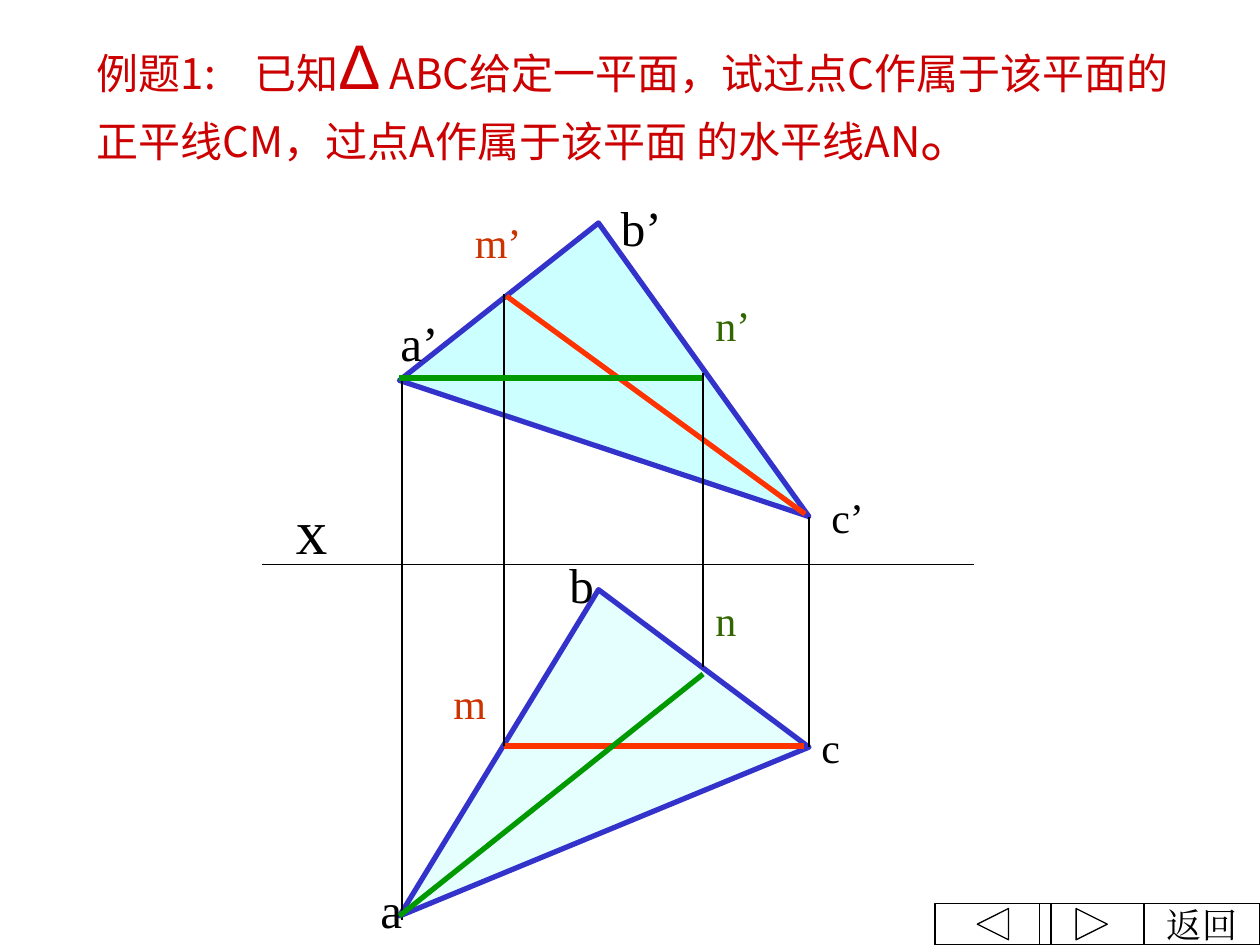
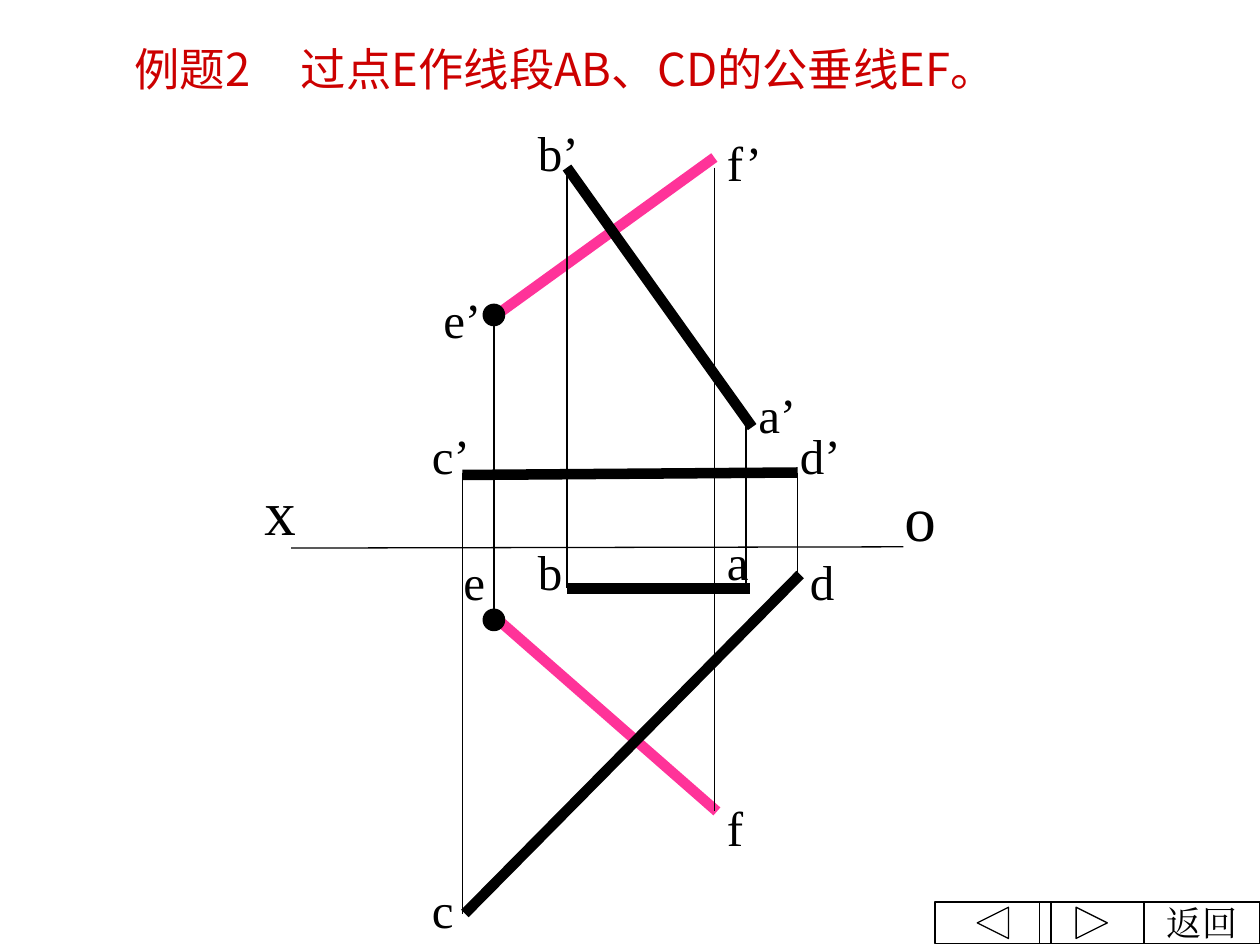
"""Build two descriptive-geometry example slides with projection drawings."""
from dataclasses import dataclass

import lxml.etree
import pptx
import pptx.dml.color
import pptx.enum.shapes
import pptx.enum.text
import pptx.oxml.ns
import pptx.util
from pptx.util import Inches

SHAPES = pptx.enum.shapes.MSO_SHAPE
ANCHOR = pptx.enum.text.MSO_ANCHOR
ALIGN = pptx.enum.text.PP_ALIGN


@dataclass(frozen=True)
class Theme:
    title_font: str = "Noto Sans CJK JP"
    symbol_font: str = "Arial"
    label_font: str = "Times New Roman"
    title_color: str = "CC0000"
    ink: str = "000000"
    edge: str = "3333CC"
    face: str = "CCFFFF"
    frontal: str = "FF3300"
    frontal_label: str = "CC3300"
    horizontal: str = "009900"
    horizontal_label: str = "336600"
    perpendicular: str = "FF3399"
    title_size: float = 24
    title_symbol_size: float = 36
    title_stop_size: float = 32
    short_title_size: float = 25.9
    axis_size: float = 36
    label_size: float = 28
    small_label_size: float = 24
    button_size: float = 20
    thin: float = 0.75
    medium: float = 3
    thick: float = 6


THEME = Theme()


def rgb(color):
    """Turn a hex string into a colour."""
    return pptx.dml.color.RGBColor.from_string(color)


def add_element(parent, tag, **attributes):
    """Append a drawing element to an XML parent."""
    return lxml.etree.SubElement(parent, pptx.oxml.ns.qn(tag), **attributes)


def set_line(line, color, width):
    """Give an outline its colour and width."""
    line.color.rgb = rgb(color)
    line.width = pptx.util.Pt(width)


def add_run(paragraph, text, size, font, color):
    """Add one styled run."""
    run = paragraph.add_run()
    run.text = text
    run.font.size = pptx.util.Pt(size)
    run.font.name = font
    run.font.color.rgb = rgb(color)
    add_element(run.font._element, "a:ea", typeface=font)


def add_title(slide, box, runs, tab, anchor=ANCHOR.TOP, line_spacing=None):
    """Add a title whose heading number is followed by a tab stop."""
    frame = slide.shapes.add_textbox(*map(Inches, box)).text_frame
    frame.word_wrap = True
    frame.vertical_anchor = anchor
    paragraph = frame.paragraphs[0]
    tab_list = add_element(paragraph._p.get_or_add_pPr(), "a:tabLst")
    add_element(tab_list, "a:tab", pos=str(Inches(tab)), algn="l")
    if line_spacing:
        paragraph.line_spacing = line_spacing
    for text, size, font in runs:
        add_run(paragraph, text, size, font, THEME.title_color)


def add_label(slide, text, left, top, size=THEME.label_size, color=THEME.ink):
    """Name a point or an axis."""
    width = 0.25 + len(text) * size / 72
    height = 0.1 + size / 60
    box = slide.shapes.add_textbox(*map(Inches, (left, top, width, height)))
    box.text_frame.word_wrap = True
    add_run(box.text_frame.paragraphs[0], text, size, THEME.label_font, color)


def add_segment(slide, start, end, color=THEME.ink, width=THEME.thin):
    """Draw a straight line between two points."""
    connector = slide.shapes.add_connector(
        pptx.enum.shapes.MSO_CONNECTOR.STRAIGHT, *map(Inches, (*start, *end)))
    set_line(connector.line, color, width)
    add_element(connector._element.spPr, "a:effectLst")


def add_triangle(slide, points, opacity=100):
    """Draw a filled triangular projection."""
    corners = [tuple(map(Inches, point)) for point in points]
    builder = slide.shapes.build_freeform(*corners[0])
    builder.add_line_segments(corners[1:], close=True)
    triangle = builder.convert_to_shape()
    triangle.shadow.inherit = False
    triangle.fill.solid()
    triangle.fill.fore_color.rgb = rgb(THEME.face)
    color = triangle.fill._xPr.find(".//" + pptx.oxml.ns.qn("a:srgbClr"))
    add_element(color, "a:alpha", val=str(opacity * 1000))
    set_line(triangle.line, THEME.edge, THEME.medium)


def add_dot(slide, center, diameter=0.17):
    """Mark a point with a filled circle."""
    left, top = (value - diameter / 2 for value in center)
    dot = slide.shapes.add_shape(
        SHAPES.OVAL, *map(Inches, (left, top, diameter, diameter)))
    dot.shadow.inherit = False
    dot.fill.solid()
    dot.fill.fore_color.rgb = rgb(THEME.ink)
    set_line(dot.line, THEME.ink, THEME.thin)


def add_button(slide, kind, left, top, width, text=""):
    """Add one outlined navigation button."""
    button = slide.shapes.add_shape(
        kind, *map(Inches, (left, top, width, 0.33)))
    button.shadow.inherit = False
    button.fill.background()
    set_line(button.line, THEME.ink, THEME.thin)
    if text:
        frame = button.text_frame
        frame.word_wrap = False
        frame.vertical_anchor = ANCHOR.MIDDLE
        paragraph = frame.paragraphs[0]
        paragraph.alignment = ALIGN.CENTER
        add_run(paragraph, text, THEME.button_size, THEME.label_font, THEME.ink)


def add_navigation(slide, top):
    """Add the return, back and forward buttons."""
    add_button(slide, SHAPES.ACTION_BUTTON_CUSTOM, 9.08, top, 0.92, "返回")
    add_button(slide, SHAPES.ACTION_BUTTON_BACK_OR_PREVIOUS, 7.42, top, 0.92)
    add_button(slide, SHAPES.ACTION_BUTTON_FORWARD_OR_NEXT, 8.25, top, 0.83)


def build_plane_lines(slide):
    """Draw the frontal and horizontal lines of a plane."""
    a_top, b_top, c_top = (3.17, 3.02), (4.75, 1.77), (6.42, 4.1)
    a_plan, b_plan, c_plan = (3.17, 7.27), (4.75, 4.68), (6.42, 5.93)
    add_triangle(slide, (a_plan, b_plan, c_plan), opacity=50)
    add_triangle(slide, (a_top, b_top, c_top))

    add_label(slide, "x", 2.25, 3.85, THEME.axis_size)
    for text, left, top in (("a’", 3.08, 2.43), ("b’", 4.83, 1.52),
                            ("b", 4.42, 4.35), ("a", 2.92, 6.93)):
        add_label(slide, text, left, top)
    for text, left, top, color in (
            ("c’", 6.5, 3.85, THEME.ink), ("c", 6.42, 5.68, THEME.ink),
            ("m", 3.5, 5.33, THEME.frontal_label),
            ("m’", 3.67, 1.67, THEME.frontal_label),
            ("n’", 5.58, 2.33, THEME.horizontal_label),
            ("n", 5.58, 4.67, THEME.horizontal_label)):
        add_label(slide, text, left, top, THEME.small_label_size, color)

    add_segment(slide, (3.19, 2.98), (3.19, 7.3))
    add_segment(slide, (2.08, 4.48), (7.73, 4.48))
    add_segment(slide, c_plan, c_top)
    add_title(slide, (0.67, 0.29, 8.76, 0.97), (
        ("例题1:\t已知", THEME.title_size, THEME.title_font),
        ("Δ", THEME.title_symbol_size, THEME.symbol_font),
        (" ABC给定一平面，试过点C作属于该平面的正平线CM，过点A作属于该平面 的水平线AN",
         THEME.title_size, THEME.title_font),
        ("。", THEME.title_stop_size, THEME.title_font),
    ), tab=1.25, anchor=ANCHOR.MIDDLE)

    add_segment(slide, (6.38, 5.92), (4, 5.92), THEME.frontal, THEME.medium)
    add_segment(slide, (4, 5.92), (4, 2.33))
    add_segment(slide, (6.39, 4.08), (4.02, 2.35), THEME.frontal, THEME.medium)
    add_segment(slide, (3.17, 3), (5.58, 3), THEME.horizontal, THEME.medium)
    add_segment(slide, (5.58, 2.96), (5.58, 5.29))
    add_segment(slide, (5.58, 5.35), a_plan, THEME.horizontal, THEME.medium)
    add_navigation(slide, 7.17)


def build_common_perpendicular(slide):
    """Draw the common perpendicular of two segments."""
    add_title(slide, (0.97, 0.36, 7.84, 0.55), (
        ("例题2\t过点E作线段AB、CD的公垂线EF。",
         THEME.short_title_size, THEME.title_font),
    ), tab=1.32, line_spacing=0.8)

    for start, end in (((3.94, 2.5), (5.67, 1.25)),
                       ((5.69, 6.44), (3.92, 4.89))):
        add_segment(slide, start, end, THEME.perpendicular, THEME.thick)
    for start, end in (((6.33, 3.75), (3.67, 3.77)),
                       ((5.97, 3.39), (4.5, 1.33)),
                       ((5.95, 4.67), (4.5, 4.67)),
                       ((3.69, 7.25), (6.35, 4.56))):
        add_segment(slide, start, end, width=THEME.thick)
    for x, top, bottom in ((5.67, 1.33, 6.44), (6.33, 3.75, 4.58),
                           (5.92, 3.33, 4.67), (4.5, 1.33, 4.67),
                           (3.67, 3.75, 7.25), (3.92, 2.5, 4.92)):
        add_segment(slide, (x, top), (x, bottom))
    add_segment(slide, (7.17, 4.34), (2.31, 4.35))

    for text, left, top in (("x", 2, 3.7), ("o", 7.08, 3.75)):
        add_label(slide, text, left, top, THEME.axis_size)
    for text, left, top in (
            ("f’", 5.67, 1), ("f", 5.67, 6.28), ("c", 3.33, 6.93),
            ("b’", 4.17, 0.92), ("a’", 5.92, 3), ("a", 5.67, 4.17),
            ("b", 4.17, 4.25), ("c’", 3.33, 3.33), ("d’", 6.25, 3.33),
            ("d", 6.33, 4.33), ("e’", 3.42, 2.25), ("e", 3.58, 4.33)):
        add_label(slide, text, left, top)
    for center in ((3.92, 2.5), (3.92, 4.92)):
        add_dot(slide, center)
    add_navigation(slide, 7.16)


def main():
    """Build and save the presentation."""
    presentation = pptx.Presentation()
    presentation.slide_width = Inches(10)
    presentation.slide_height = Inches(7.5)
    for build in (build_plane_lines, build_common_perpendicular):
        build(presentation.slides.add_slide(presentation.slide_layouts[6]))
    presentation.save("out.pptx")


if __name__ == "__main__":
    main()
